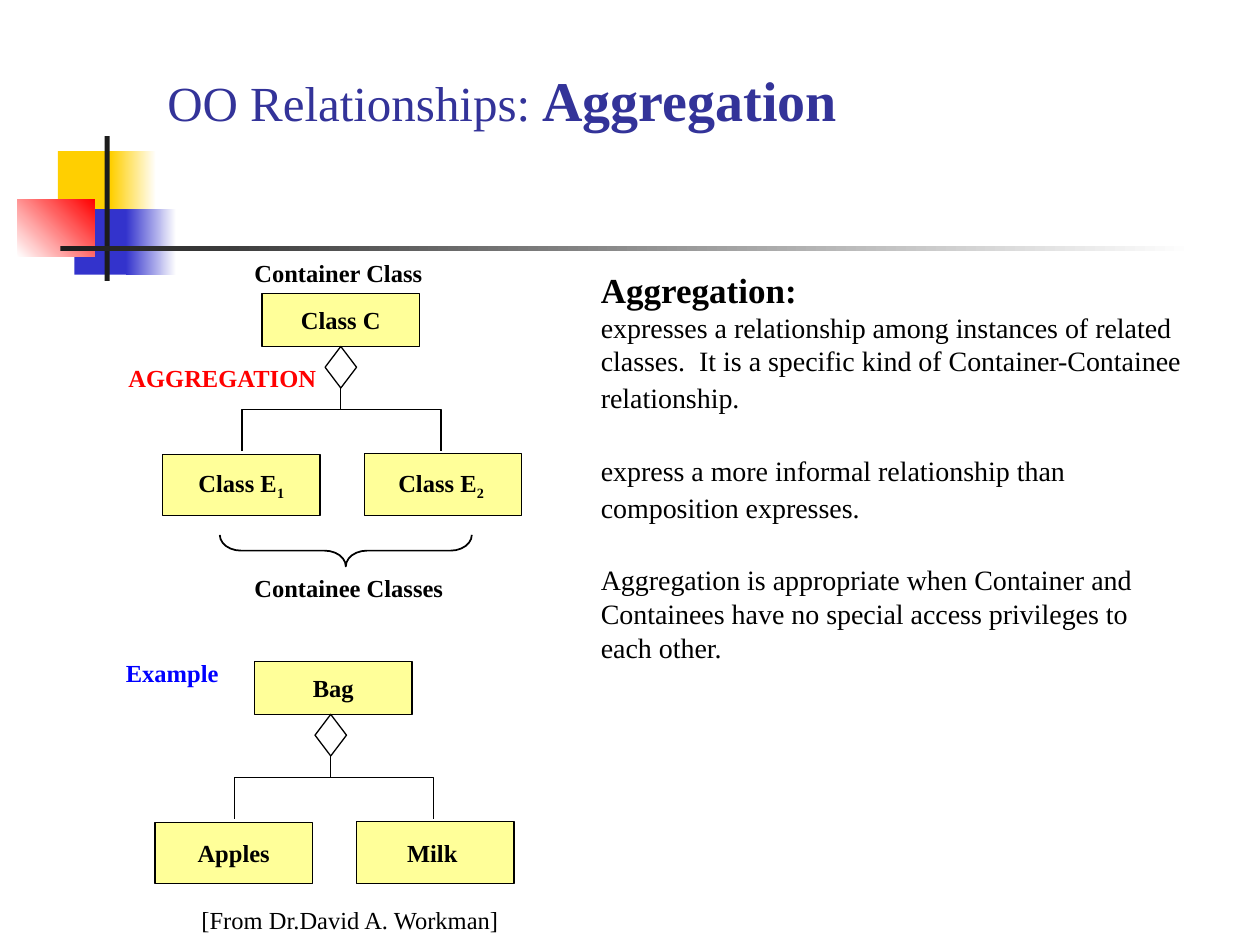
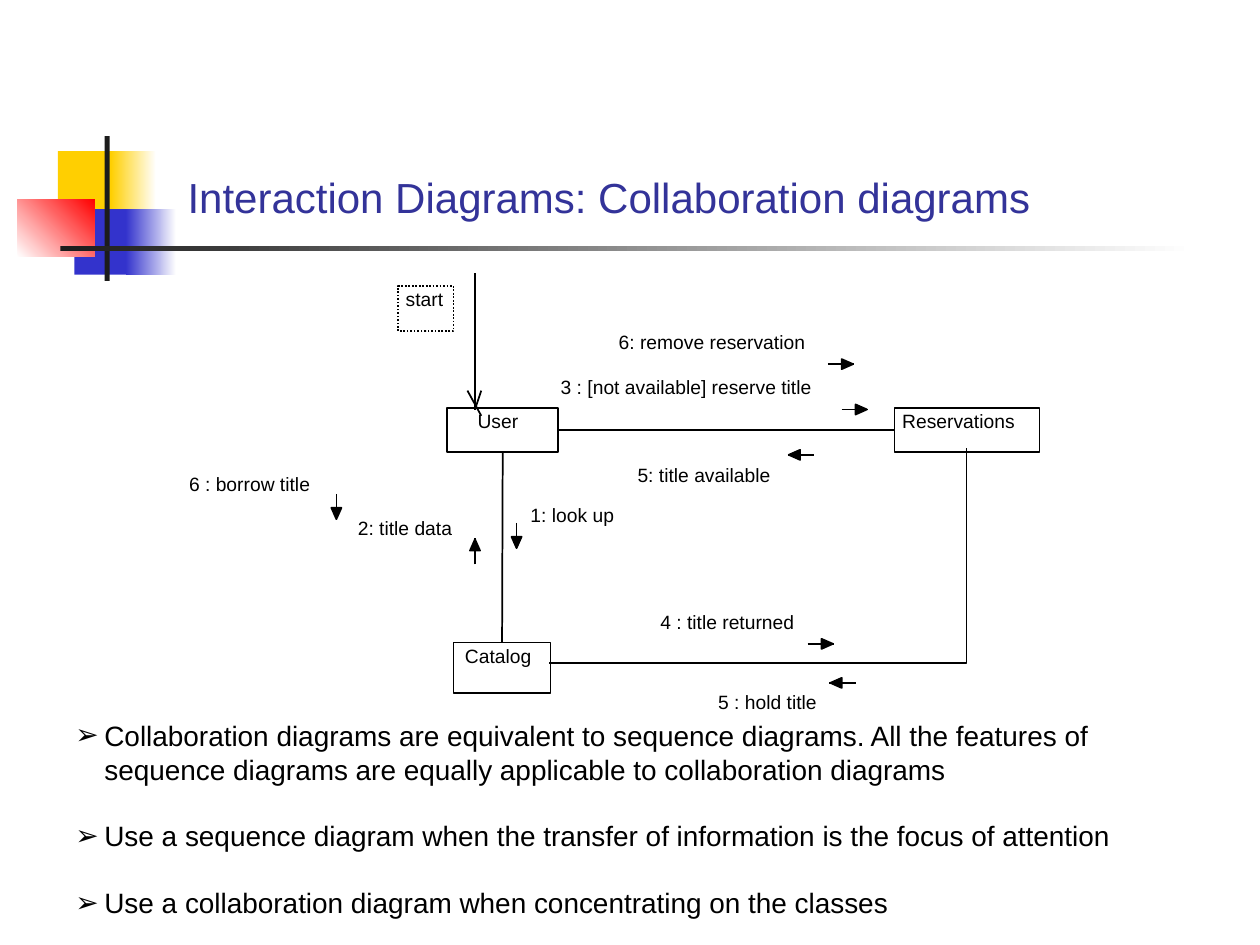
from pptx import Presentation, util as u
from pptx.dml.color import RGBColor
from pptx.enum import dml, shapes, text
from pptx.oxml.ns import qn
from lxml import etree

hue = RGBColor.from_string
kind = shapes.MSO_SHAPE
BLACK, NAVY, CREAM, WHITE = "000000", "333399", "FFFF99", "FFFFFF"
SERIF, SANS = "Times New Roman", "Arial"
SLACK = 0.15  # spare label width, so that no label breaks


def style(item, fill=None, edge=BLACK, width=0.75):
    """Set fill, line and no shadow on a shape or connector."""
    if edge:
        item.line.color.rgb = hue(edge)
        item.line.width = u.Pt(width)
    else:
        item.line.fill.background()
    if item.shape_type == shapes.MSO_SHAPE_TYPE.LINE:
        etree.SubElement(item._element.spPr, qn("a:effectLst"))
        return item
    item.shadow.inherit = False
    if fill:
        item.fill.solid()
        item.fill.fore_color.rgb = hue(fill)
    else:
        item.fill.background()
    return item


def write(item, words, size, tint=BLACK, face=SERIF, bold=False, tail="",
          pad=True, align="LEFT", anchor="TOP"):
    """Fill a shape with text; tail becomes a second run."""
    frame = item.text_frame
    frame.text = words
    frame.word_wrap = align == "LEFT"
    frame.vertical_anchor = getattr(text.MSO_ANCHOR, anchor)
    if not pad:
        frame.margin_left = frame.margin_right = 0
        frame.margin_top = frame.margin_bottom = 0
    if tail:
        frame.paragraphs[0].add_run().text = tail
    for para in frame.paragraphs:
        para.alignment = getattr(text.PP_ALIGN, align)
        for run in para.runs:
            run.font.size, run.font.bold = u.Pt(size), bold
            run.font.name, run.font.color.rgb = face, hue(tint)
    return frame


deck = Presentation()
deck.slide_width, deck.slide_height = u.Inches(10), u.Inches(7.5)

# Shared corner blocks and rule: place, colours, angle
BLOCKS = [
    ((0.46, 1.2, 0.48, 0.52), ["FFCF01"], 0),
    ((0.88, 1.2, 0.36, 0.52), ["FFCF01", WHITE], 0),
    ((0.59, 1.66, 0.46, 0.52), ["3333CC"], 0),
    ((1, 1.66, 0.4, 0.52), ["3333CC", WHITE], 0),
    ((0.14, 1.58, 0.61, 0.46), [WHITE, "FF0000"], 45),
    ((0.83, 1.08, 0.04, 1.15), ["1C1C1C"], 0),
    ((0.48, 1.95, 9, 0.04), ["1C1C1C", WHITE], 0),
]
pages = []
for _ in range(2):
    page = deck.slides.add_slide(deck.slide_layouts[6])
    for at, tints, angle in BLOCKS:
        block = page.shapes.add_shape(kind.RECTANGLE, *map(u.Inches, at))
        style(block, tints[0], None)
        if len(tints) == 2:
            block.fill.gradient()
            block.fill.gradient_angle = angle
            for stop, tint in zip(block.fill.gradient_stops, tints):
                stop.color.rgb = hue(tint)
    pages.append(page.shapes)
first, second = pages

# Slide 1: title
title = first.add_textbox(*map(u.Inches, (1.23, 0.5, 8.5, 0.58)))
frame = write(title, "OO Relationships: ", 28, NAVY, tail="Aggregation",
              anchor="MIDDLE")
big = frame.paragraphs[0].runs[1].font
big.size, big.bold = u.Pt(32), True

# Two trees: shift, diamond left, names with subscripts
TREES = [
    (0, 0, 2.58, [("Class C", ""), ("Class E", "1"), ("Class E", "2 ")]),
    (-0.06, 2.92, 2.5, [("Bag", ""), ("Apples", ""), ("Milk ", "")]),
]
SPOTS = [(2.08, 2.33, 0.42), (1.29, 3.61, 0.48), (2.89, 3.6, 0.49)]
for dx, dy, left, names in TREES:
    for (x, y, high), (name, sub) in zip(SPOTS, names):
        node = first.add_shape(kind.RECTANGLE, *map(
            u.Inches, (x + dx, y + dy, 1.25, high)))
        style(node, CREAM)
        frame = write(node, name, 14, bold=True, tail=sub,
                      align="CENTER", anchor="MIDDLE")
        if sub:
            low = frame.paragraphs[0].runs[1]._r.get_or_add_rPr()
            low.set("baseline", "-25000")
    fork = [(u.Inches(x + dx), u.Inches(y + dy)) for x, y in
            [(1.92, 3.58), (1.92, 3.25), (3.5, 3.25), (3.5, 3.58)]]
    path = first.build_freeform(*fork[0])
    path.add_line_segments(fork[1:], close=False)
    style(path.convert_to_shape())
    gem = first.add_shape(kind.DIAMOND, *map(
        u.Inches, (left, 2.75 + dy, 0.25, 0.33)))
    style(gem)
    mid = left + 0.125
    stem = first.add_connector(shapes.MSO_CONNECTOR.STRAIGHT, *map(
        u.Inches, (mid, 3.08 + dy, mid, 3.25 + dy)))
    stem.begin_connect(gem, 2)
    style(stem)

# Brace under the contained classes
brace = first.add_shape(kind.LEFT_BRACE, *map(u.Inches, (2.62, 3.37, 0.25, 2)))
brace.rotation = 270
brace.adjustments[0] = 0.67
style(brace, width=1)

# Captions
for words, x, y, wide, tint, bold in [
        ("AGGREGATION", 0.92, 2.83, 1.7, "FF0000", True),
        ("Container Class", 1.92, 2, 1.54, BLACK, True),
        ("Containee Classes", 1.92, 4.5, 1.7, BLACK, True),
        ("Example", 0.9, 5.17, 0.93, "0000FF", True),
        ("[From Dr.David A. Workman]", 1.5, 7.13, 2.94, BLACK, False)]:
    note = first.add_textbox(*map(u.Inches, (x, y, wide + SLACK, 0.34)))
    write(note, words, 14, tint, bold=bold)

# Explanation
body = first.add_textbox(*map(u.Inches, (4.67, 2.08, 4.83, 3.24)))
frame = write(body, "\n".join([
    "Aggregation:",
    "expresses a relationship among instances of related classes.  It is a "
    "specific kind of Container-Containee relationship.",
    "express a more informal relationship than composition expresses.",
    "Aggregation is appropriate when Container and Containees have no special "
    "access privileges to each other."]), 16)
head = frame.paragraphs[0].runs[0].font
head.size, head.bold = u.Pt(20), True
for para in frame.paragraphs[1:3]:
    gap = para.add_run()
    gap.text = " "
    gap.font.size, gap.font.name = u.Pt(18), SERIF
for para in frame.paragraphs[2:]:
    para.space_before = u.Pt(21.8)

# Slide 2: title
title = second.add_textbox(*map(u.Inches, (1.39, 1.08, 8.38, 0.73)))
write(title, "Interaction Diagrams: Collaboration diagrams", 24, NAVY, SANS,
      anchor="BOTTOM")

# Objects: box, then label left and width
nodes = {}
for name, at, x, wide in [
        ("User", (3.55, 3.24, 0.88, 0.35), 3.79, 0.32),
        ("Catalog", (3.6, 5.1, 0.77, 0.4), 3.69, 0.53),
        ("Reservations", (7.1, 3.24, 1.15, 0.35), 7.16, 0.9),
        ("start", (3.16, 2.27, 0.44, 0.36), 3.22, 0.3)]:
    node = second.add_shape(kind.RECTANGLE, *map(u.Inches, at))
    nodes[name] = style(node, WHITE, width=1)
    label = second.add_textbox(*map(
        u.Inches, (x, at[1] + 0.01, wide + SLACK, 0.18)))
    write(label, name, 11, face=SANS, pad=False)
nodes["start"].line.dash_style = dml.MSO_LINE.ROUND_DOT

# Links between objects
for source, side, target, end in [("User", 3, "Reservations", 1),
                                  ("User", 2, "Catalog", 0)]:
    link = second.add_connector(shapes.MSO_CONNECTOR.STRAIGHT, 0, 0, 0, 0)
    link.begin_connect(nodes[source], side)
    link.end_connect(nodes[target], end)
    style(link, width=1)
bend = [(u.Inches(x), u.Inches(y)) for x, y in
        [(4.36, 5.26), (7.67, 5.26), (7.67, 3.56)]]
path = second.build_freeform(*bend[0])
path.add_line_segments(bend[1:], close=False)
style(path.convert_to_shape(), width=1)

# Start arrow, then the strokes of its open head
strokes = [(3.77, 2.17, 3.77, 3.25), (3.71, 3.1, 3.82, 3.3),
           (3.82, 3.1, 3.77, 3.25)]

# Messages: label place and width, arrow start and direction
for words, x, y, wide, ax, ay, dx, dy in [
        ("1: look up", 4.21, 3.99, 0.67, 4.1, 4.15, 0, 1),
        ("2: title data", 2.84, 4.1, 0.75, 3.77, 4.48, 0, -1),
        ("3 : [not available] reserve title", 4.45, 2.98, 2, 6.68, 3.25, 1, 0),
        ("4 : title returned", 5.24, 4.84, 1.07, 6.41, 5.11, 1, 0),
        ("5 : hold title", 5.7, 5.48, 0.79, 6.79, 5.42, -1, 0),
        ("6 : borrow title", 1.5, 3.75, 0.96, 2.67, 3.92, 0, 1),
        ("6: remove reservation", 4.91, 2.62, 1.48, 6.57, 2.89, 1, 0),
        ("5: title available", 5.06, 3.68, 1.06, 6.46, 3.61, -1, 0)]:
    label = second.add_textbox(*map(u.Inches, (x, y, wide + SLACK, 0.18)))
    write(label, words, 11, face=SANS, pad=False)
    strokes.append((ax, ay, ax + 0.21 * dx, ay + 0.21 * dy))
    tip = [(u.Inches(ax + far * dx + off * dy),
            u.Inches(ay + far * dy + off * dx))
           for far, off in [(0.11, -0.04), (0.2, 0), (0.11, 0.04)]]
    path = second.build_freeform(*tip[0])
    path.add_line_segments(tip[1:], close=True)
    style(path.convert_to_shape(), BLACK, width=1)
for ends in strokes:
    line = second.add_connector(shapes.MSO_CONNECTOR.STRAIGHT,
                                *map(u.Inches, ends))
    style(line, width=1)

# Bullets
body = second.add_textbox(*map(u.Inches, (0.5, 5.75, 9.25, 1.5)))
frame = write(body, "\n".join([
    "Collaboration diagrams are equivalent to sequence diagrams. All the "
    "features of sequence diagrams are equally applicable to collaboration "
    "diagrams",
    "Use a sequence diagram when the transfer of information is the focus of "
    "attention",
    "Use a collaboration diagram when concentrating on the classes"]),
    16, face=SANS, anchor="MIDDLE")
for spot, para in enumerate(frame.paragraphs):
    props = para._p.get_or_add_pPr()
    props.set("marL", str(u.Inches(0.23)))
    props.set("indent", str(-u.Inches(0.23)))
    tint = etree.SubElement(props, qn("a:buClr"))
    etree.SubElement(tint, qn("a:srgbClr"), val=BLACK)
    etree.SubElement(props, qn("a:buFont"), typeface=SANS)
    etree.SubElement(props, qn("a:buChar"), char="➢")
    if spot:
        para.space_before = u.Pt(19)

deck.save("out.pptx")
